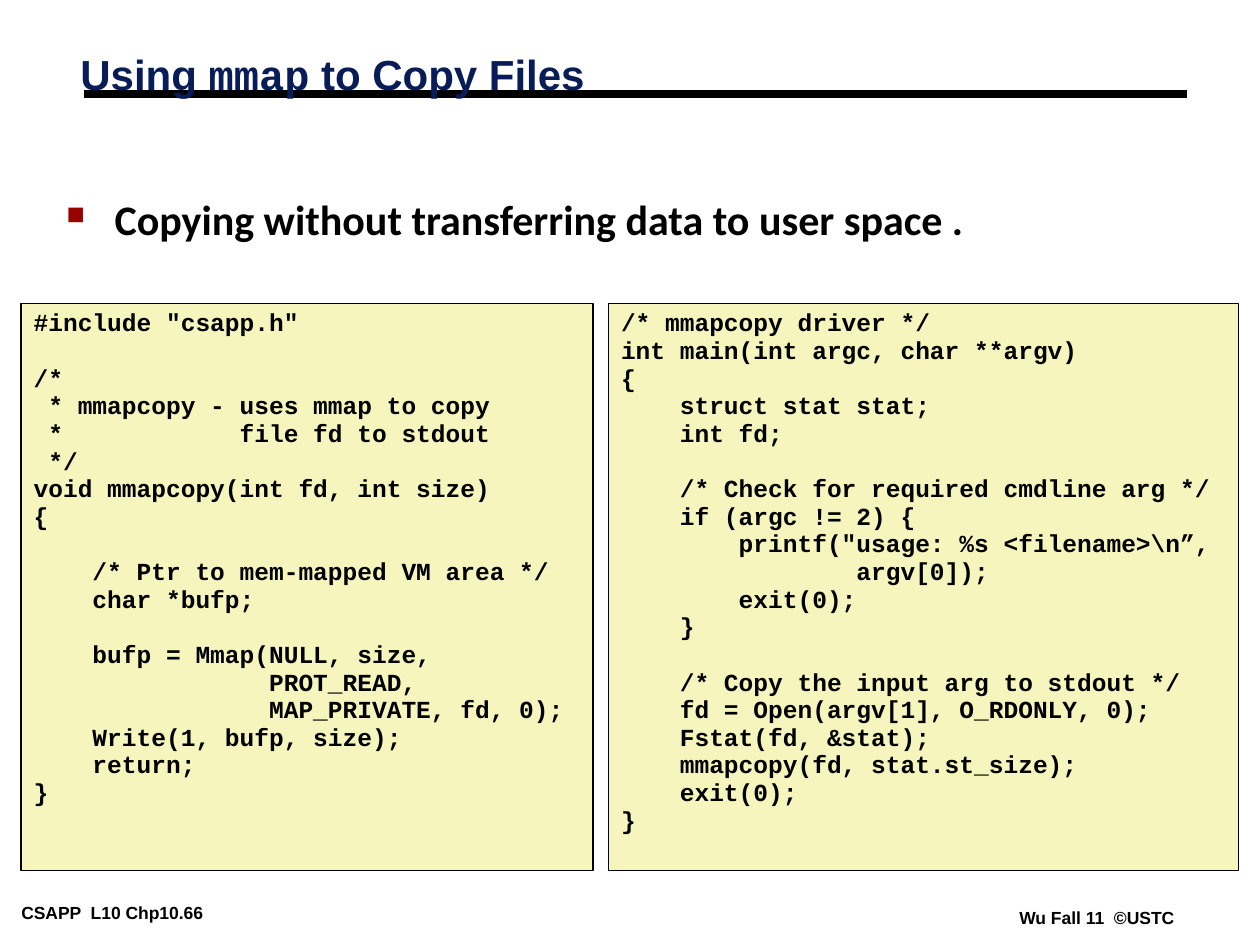
from dataclasses import dataclass

from lxml import etree
from pptx import Presentation
from pptx import util as u
from pptx.dml.color import RGBColor
from pptx.enum import shapes, text
from pptx.oxml import ns

BLACK = RGBColor(0x00, 0x00, 0x00)
NAVY = RGBColor(0x08, 0x1D, 0x58)
CREAM = RGBColor(0xF6, 0xF5, 0xBD)
BULLET_RED = RGBColor(0x99, 0x00, 0x00)
SANS, BODY, MONO = "Arial", "Calibri", "Courier New"
CODE_TOP, CODE_HEIGHT = 6.12, 11.43
CODE_LINE = 15.8


@dataclass(frozen=True)
class Footer:
    left: float
    top: float
    width: float
    label: str


@dataclass(frozen=True)
class CodePanel:
    left: float
    width: float
    border: float
    code: str


FOOTERS = [
    Footer(0.25, 18.11, 5.33, "CSAPP  L10 Chp10.66"),
    Footer(20.37, 18.21, 3.51, "Wu Fall 11  ©USTC"),
]

COPY_FUNCTION = r'''#include "csapp.h"

/*
 * mmapcopy - uses mmap to copy
 *            file fd to stdout
 */
void mmapcopy(int fd, int size)
{

    /* Ptr to mem-mapped VM area */
    char *bufp;

    bufp = Mmap(NULL, size,
                PROT_READ,
                MAP_PRIVATE, fd, 0);
    Write(1, bufp, size);
    return;
}'''

COPY_DRIVER = r'''/* mmapcopy driver */
int main(int argc, char **argv)
{
    struct stat stat;
    int fd;

    /* Check for required cmdline arg */
    if (argc != 2) {
        printf("usage: %s <filename>\n”,
                argv[0]);
        exit(0);
    }

    /* Copy the input arg to stdout */
    fd = Open(argv[1], O_RDONLY, 0);
    Fstat(fd, &stat);
    mmapcopy(fd, stat.st_size);
    exit(0);
}'''

PANELS = [
    CodePanel(0.43, 11.53, 1, COPY_FUNCTION),
    CodePanel(12.27, 12.7, 0.75, COPY_DRIVER),
]


def add_run(p, content: str, font: str, size: float, color: RGBColor = BLACK) -> None:
    r = p.add_run()
    r.text = content
    r.font.name = font
    r.font.size = u.Pt(size)
    r.font.bold = True
    r.font.color.rgb = color


def add_box(s, left: float, top: float, width: float, height: float):
    sp = s.shapes.add_textbox(u.Cm(left), u.Cm(top), u.Cm(width), u.Cm(height))
    sp.text_frame.word_wrap = True
    return sp.text_frame


def hang(p, indent: float) -> None:
    pPr = p._p.get_or_add_pPr()
    pPr.set("marL", str(u.Cm(indent)))
    pPr.set("indent", str(-u.Cm(indent)))


def add_bullet(p) -> None:
    pPr = p._p.get_or_add_pPr()
    clr = etree.SubElement(pPr, ns.qn("a:buClr"))
    etree.SubElement(clr, ns.qn("a:srgbClr"), val=str(BULLET_RED))
    etree.SubElement(pPr, ns.qn("a:buSzPct"), val="60000")
    etree.SubElement(pPr, ns.qn("a:buChar"), char="■")


def add_footer(s, footer: Footer) -> None:
    tf = add_box(s, footer.left, footer.top, footer.width, 0.56)
    tf.word_wrap = False
    tf.margin_left = tf.margin_right = u.Cm(0.18)
    tf.margin_top = tf.margin_bottom = u.Cm(0.08)
    add_run(tf.paragraphs[0], footer.label, SANS, 10)


def add_rule(s) -> None:
    cx = s.shapes.add_connector(
        shapes.MSO_CONNECTOR.STRAIGHT, u.Cm(1.7), u.Cm(1.9), u.Cm(23.93), u.Cm(1.9)
    )
    cx.line.color.rgb = BLACK
    cx.line.width = u.Pt(4.5)
    etree.SubElement(cx._element.spPr, ns.qn("a:effectLst"))


def add_title(s) -> None:
    tf = add_box(s, 1.37, 1.04, 20.73, 1.09)
    tf.vertical_anchor = text.MSO_ANCHOR.MIDDLE
    p = tf.paragraphs[0]
    p.line_spacing = 0.82
    hang(p, 0.33)
    for content, font in (("Using ", SANS), ("mmap", MONO), (" to Copy Files", SANS)):
        add_run(p, content, font, 24, NAVY)


def add_code_panel(s, panel: CodePanel) -> None:
    sp = s.shapes.add_shape(
        shapes.MSO_SHAPE.RECTANGLE,
        u.Cm(panel.left), u.Cm(CODE_TOP), u.Cm(panel.width), u.Cm(CODE_HEIGHT),
    )
    sp.shadow.inherit = False
    sp.fill.solid()
    sp.fill.fore_color.rgb = CREAM
    sp.line.color.rgb = BLACK
    sp.line.width = u.Pt(panel.border)
    tf = sp.text_frame
    tf.word_wrap = True
    tf.vertical_anchor = text.MSO_ANCHOR.TOP
    p, gap = tf.paragraphs[0], 0
    for i, line in enumerate(panel.code.splitlines()):
        if not line:
            gap += CODE_LINE
            continue
        if i:
            p = tf.add_paragraph()
        p.alignment = text.PP_ALIGN.LEFT
        p.line_spacing = 0.94
        if gap:
            p.space_before = u.Pt(gap)
        hang(p, 0.61)
        add_run(p, line, MONO, 14)
        gap = 0


def add_statement(s) -> None:
    p = add_box(s, 1.09, 3.78, 23.88, 13.82).paragraphs[0]
    hang(p, 0.97)
    add_bullet(p)
    add_run(p, "Copying without transferring data to user space .", BODY, 24)


def main() -> None:
    prs = Presentation()
    prs.slide_width, prs.slide_height = u.Cm(25.4), u.Cm(19.05)
    s = prs.slides.add_slide(prs.slide_layouts[6])
    for footer in FOOTERS:
        add_footer(s, footer)
    add_rule(s)
    add_title(s)
    for panel in PANELS:
        add_code_panel(s, panel)
    add_statement(s)
    prs.save("out.pptx")


if __name__ == "__main__":
    main()
